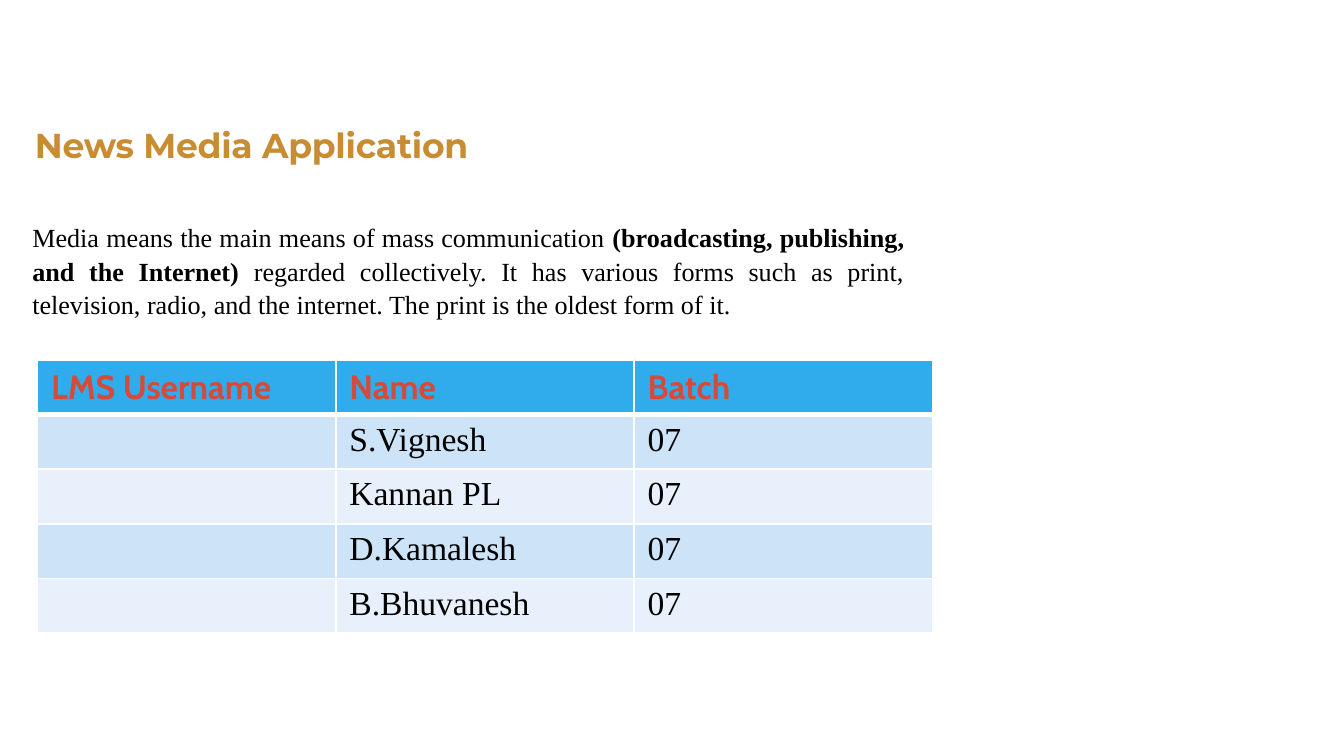
import pptx
import pptx.util
import pptx.dml.color
import pptx.enum.text
from dataclasses import dataclass
from lxml import etree
from pptx.util import Inches


@dataclass(frozen=True)
class Theme:
    gold: str = "C88C32"
    red: str = "D64A3B"
    black: str = "000000"
    white: str = "FFFFFF"
    header: str = "30ACEC"
    bands: tuple = ("CDE3F8", "E8F1FB")
    title_font: str = "Montserrat"
    header_font: str = "Cabin"
    text_font: str = "Times New Roman"
    title_size: float = 18.5
    body_size: float = 14
    table_size: float = 18


T = Theme()
NS = "http://schemas.openxmlformats.org/drawingml/2006/main"

MEMBERS = [
    ("LMS Username", "Name", "Batch"),
    ("", "S.Vignesh", "07"),
    ("", "Kannan PL", "07"),
    ("", "D.Kamalesh", "07"),
    ("", "B.Bhuvanesh", "07"),
]


def rgb(color):
    return pptx.dml.color.RGBColor.from_string(color)


def add_text(p, text, font=T.text_font, size=T.body_size, color=T.black,
             bold=False, spacing=None):
    r = p.add_run()
    r.text = text
    r.font.name = font
    r.font.size = pptx.util.Pt(size)
    r.font.color.rgb = rgb(color)
    r.font.bold = bold
    if spacing is not None:
        r.font._element.set("spc", str(round(spacing * 100)))


def place(sp, x, y, w, h, align, line_spacing):
    """Position a placeholder, clear its insets and return its paragraph."""
    sp.left, sp.top, sp.width, sp.height = map(Inches, (x, y, w, h))
    tf = sp.text_frame
    tf.margin_left = tf.margin_top = tf.margin_right = tf.margin_bottom = 0
    tf.word_wrap = True
    tf.auto_size = pptx.enum.text.MSO_AUTO_SIZE.SHAPE_TO_FIT_TEXT
    tf.vertical_anchor = pptx.enum.text.MSO_ANCHOR.TOP
    p = tf.paragraphs[0]
    p.alignment = align
    p.line_spacing = pptx.util.Pt(line_spacing)
    p.space_before = pptx.util.Pt(0)
    return p


def remove_bullet(p):
    pPr = p._p.get_or_add_pPr()
    pPr.set("marL", "0")
    pPr.set("indent", "0")
    etree.SubElement(pPr, f"{{{NS}}}buNone")


def set_border(cell, side, width):
    tcPr = cell._tc.get_or_add_tcPr()
    ln = etree.SubElement(tcPr, f"{{{NS}}}ln{side}", w=str(pptx.util.Pt(width)))
    fill = etree.SubElement(ln, f"{{{NS}}}solidFill")
    etree.SubElement(fill, f"{{{NS}}}srgbClr", val=T.white)


def add_members(s, x, y, w, h):
    shape = s.shapes.add_table(len(MEMBERS), len(MEMBERS[0]),
                               Inches(x), Inches(y), Inches(w), Inches(h))
    table = shape.table
    table.horz_banding = False
    for i, row in enumerate(MEMBERS):
        for j, text in enumerate(row):
            cell = table.cell(i, j)
            # A thick rule separates the header from the rows
            widths = {"L": 1, "R": 1, "T": 3 if i == 1 else 1, "B": 3 if i == 0 else 1}
            for side, width in widths.items():
                set_border(cell, side, width)
            cell.fill.solid()
            cell.fill.fore_color.rgb = rgb(T.bands[(i - 1) % 2] if i else T.header)
            p = cell.text_frame.paragraphs[0]
            if i == 0:
                add_text(p, text, font=T.header_font, size=T.table_size,
                         color=T.red, bold=True)
            elif text:
                add_text(p, text, size=T.table_size)


def main():
    prs = pptx.Presentation()
    # Widescreen, 16:9
    prs.slide_width = Inches(10)
    prs.slide_height = prs.slide_width * 9 // 16
    s = prs.slides.add_slide(prs.slide_layouts[1])
    align = pptx.enum.text.PP_ALIGN

    # Title
    p = place(s.shapes.title, 0.26, 0.9, 4.51, 0.32, align.LEFT, 23.8)
    add_text(p, "News Media Application", font=T.title_font, size=T.title_size,
             color=T.gold, bold=True, spacing=-0.1)

    # Introduction
    p = place(s.placeholders[1], 0.24, 1.63, 6.49, 0.74, align.JUSTIFY, 18)
    remove_bullet(p)
    add_text(p, "Media means the main means of mass communication ")
    add_text(p, "(broadcasting, publishing, and the Internet) ", bold=True)
    add_text(p, "regarded collectively. It has various forms such as print, "
                "television, radio, and the internet. "
                "The print is the oldest form of it.")

    # Team members
    add_members(s, 0.28, 2.68, 6.66, 2.03)

    prs.save("out.pptx")


if __name__ == "__main__":
    main()
